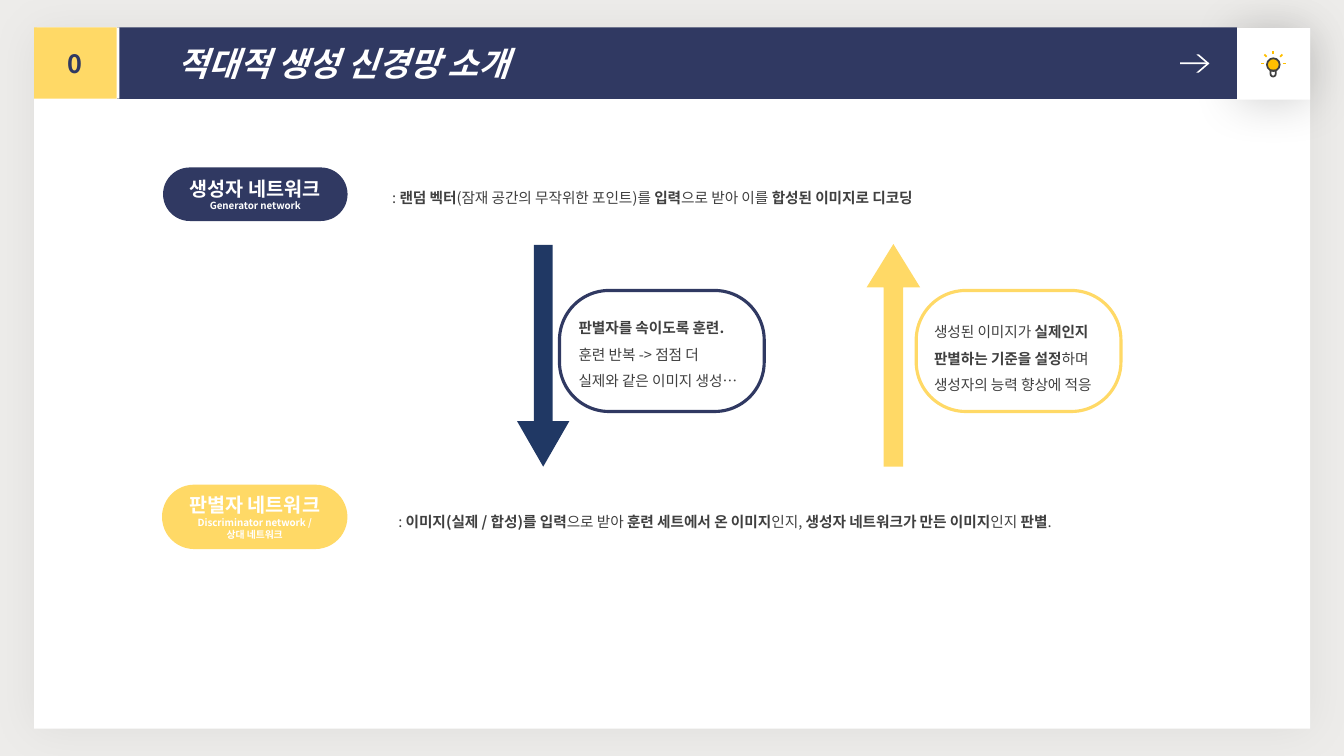
from dataclasses import dataclass
from math import cos, radians, sin
from typing import NamedTuple, Optional

from lxml.etree import SubElement
from pptx import Presentation
from pptx.dml.color import RGBColor
from pptx.enum.shapes import MSO_CONNECTOR, MSO_SHAPE
from pptx.enum.text import MSO_ANCHOR, MSO_AUTO_SIZE, PP_ALIGN
from pptx.oxml.ns import qn
from pptx.util import Cm, Pt


@dataclass(frozen=True)
class Theme:
    font: str = "Noto Sans CJK KR"
    back: str = "EDECEA"
    white: str = "FFFFFF"
    black: str = "000000"
    navy: str = "303962"
    deep: str = "203864"
    gold: str = "FFD966"
    amber: str = "FFC000"
    gray: str = "404040"
    title: float = 24
    number: float = 18
    label: float = 14
    body: float = 10.5
    small: float = 7


T = Theme()


class Run(NamedTuple):
    text: str
    bold: bool = False
    size: float = T.body
    color: str = T.gray
    slant: bool = False


class Shade(NamedTuple):
    color: str
    alpha: int
    blur: float
    angle: int


class Line(NamedTuple):
    color: str
    width: float


Box = tuple[float, float, float, float]
Para = tuple[Run, ...]


@dataclass(frozen=True)
class Block:
    kind: MSO_SHAPE
    box: Box
    fill: Optional[str] = None
    line: Optional[Line] = None
    adj: tuple[float, ...] = ()
    shade: Optional[Shade] = None
    text: tuple[Para, ...] = ()


@dataclass(frozen=True)
class Note:
    box: Box
    text: tuple[Para, ...]
    align: PP_ALIGN = PP_ALIGN.LEFT


def write(frame, text: tuple[Para, ...], align: PP_ALIGN, space: float = 1) -> None:
    frame.word_wrap = True
    for i, runs in enumerate(text):
        para = frame.add_paragraph() if i else frame.paragraphs[0]
        para.alignment = align
        para.line_spacing = space
        for item in runs:
            run = para.add_run()
            run.text = item.text
            font = run.font
            font.name, font.size = T.font, Pt(item.size)
            font.bold, font.italic = item.bold, item.slant
            font.color.rgb = RGBColor.from_string(item.color)
            SubElement(run.font._element, qn("a:ea"), typeface=T.font)


def paint(shape, fill: Optional[str], line: Optional[Line] = None) -> None:
    if fill:
        shape.fill.solid()
        shape.fill.fore_color.rgb = RGBColor.from_string(fill)
    else:
        shape.fill.background()
    if line:
        shape.line.color.rgb = RGBColor.from_string(line.color)
        shape.line.width = Pt(line.width)
    else:
        shape.line.fill.background()


def cast(shape, shade: Shade) -> None:
    """Give the shape an outer shadow."""
    effects = shape.element.spPr.find(qn("a:effectLst"))
    outer = SubElement(effects, qn("a:outerShdw"), blurRad=str(Pt(shade.blur)),
                       dist=str(Pt(2)), dir=str(shade.angle * 60000),
                       algn="ctr", rotWithShape="0")
    color = SubElement(outer, qn("a:srgbClr"), val=shade.color)
    SubElement(color, qn("a:alpha"), val=str(shade.alpha * 1000))


def draw(slide, block: Block) -> None:
    shape = slide.shapes.add_shape(block.kind, *map(Cm, block.box))
    shape.shadow.inherit = False
    paint(shape, block.fill, block.line)
    for i, value in enumerate(block.adj):
        shape.adjustments[i] = value
    if block.shade:
        cast(shape, block.shade)
    if block.text:
        shape.text_frame.vertical_anchor = MSO_ANCHOR.MIDDLE
        write(shape.text_frame, block.text, PP_ALIGN.CENTER)


def jot(slide, note: Note) -> None:
    """Add a free text box."""
    frame = slide.shapes.add_textbox(*map(Cm, note.box)).text_frame
    frame.auto_size = MSO_AUTO_SIZE.SHAPE_TO_FIT_TEXT
    write(frame, note.text, note.align, 1.5)


def head(slide) -> None:
    """Place the title bar above the shapes drawn so far."""
    title = slide.shapes.title
    title.left, title.top, title.width, title.height = map(Cm, (2.95, 0.69, 28.22, 1.8))
    paint(title, T.navy)
    frame = title.text_frame
    frame.auto_size = MSO_AUTO_SIZE.NONE
    frame.vertical_anchor = MSO_ANCHOR.MIDDLE
    frame.margin_left = Cm(1.52)
    write(frame, ((Run("적대적 생성 신경망 소개", True, T.title, T.white, True),),), PP_ALIGN.LEFT)
    slide.shapes.element.append(title.element)


def shine(slide, x: float, y: float) -> None:
    """Draw five rays around the bulb centre."""
    for angle in range(0, 181, 45):
        dx, dy = cos(radians(angle)), -sin(radians(angle))
        ends = [Cm(v) for r in (0.24, 0.32) for v in (x + r * dx, y + r * dy)]
        ray = slide.shapes.add_connector(MSO_CONNECTOR.STRAIGHT, *ends)
        ray.line.color.rgb = RGBColor.from_string(T.amber)
        ray.line.width = Pt(1.25)
        SubElement(ray.element.spPr, qn("a:effectLst"))


def label(name: str, *subs: str) -> tuple[Para, ...]:
    return ((Run(name, True, T.label, T.white),),
            *((Run(sub, True, T.small, T.white),) for sub in subs))


S = MSO_SHAPE
EDGE = Line(T.gray, 1.25)
CARDS = (
    Block(S.RECTANGLE, (0.86, 0.71, 32.16, 17.65), T.white, shade=Shade(T.black, 5, 34, 90)),
    Block(S.RECTANGLE, (31.17, 0.71, 1.85, 1.8), T.white, shade=Shade(T.black, 18, 34, 90)),
)
ICONS = (
    Block(S.OVAL, (31.93, 1.47, 0.32, 0.32), T.amber, EDGE),
    Block(S.ROUND_2_SAME_RECTANGLE, (32.02, 1.78, 0.13, 0.15), None, EDGE, (0, 0.5)),
    Block(S.RECTANGLE, (0.86, 0.69, 2.08, 1.8), T.gold, shade=Shade(T.white, 100, 0, 0),
          text=((Run("0", True, T.number, T.navy),),)),
    Block(S.CHEVRON, (30.15, 1.37, 0.33, 0.46), T.white, adj=(0.81,)),
    Block(S.RECTANGLE, (29.74, 1.57, 0.71, 0.05), T.white),
)
FLOW = (
    Block(S.ROUNDED_RECTANGLE, (4.11, 4.22, 4.65, 1.35), T.navy, adj=(0.5,),
          text=label("생성자 네트워크", "Generator network")),
    Block(S.ROUNDED_RECTANGLE, (4.11, 12.24, 4.62, 1.57), T.gold, Line(T.gold, 1.5), (0.5,),
          text=label("판별자 네트워크", "Discriminator network /", "상대 네트워크")),
    Block(S.DOWN_ARROW, (13.03, 6.17, 1.32, 5.59), T.deep, adj=(0.36, 0.87)),
    Block(S.UP_ARROW, (21.84, 6.15, 1.35, 5.61), T.gold, adj=(0.36, 0.81)),
    Block(S.ROUNDED_RECTANGLE, (14.1, 7.32, 5.16, 3.05), None, Line(T.navy, 2.25), (0.41,)),
    Block(S.ROUNDED_RECTANGLE, (23.09, 7.32, 5.16, 3.05), None, Line(T.gold, 2.25), (0.41,)),
)
NOTES = (
    Note((8.76, 4.42, 15.37, 0.94), (
        (Run(": "), Run("랜덤 벡터", True), Run("(잠재 공간의 무작위한 포인트)를 "), Run("입력", True),
         Run("으로 받아 이를 "), Run("합성된 이미지로 디코딩", True)),), PP_ALIGN.CENTER),
    Note((8.76, 12.57, 19.02, 0.94), (
        (Run(": "), Run("이미지(실제 / 합성)를 입력", True), Run("으로 받아 "),
         Run("훈련 세트에서 온 이미지", True), Run("인지, "),
         Run("생성자 네트워크가 만든 이미지", True), Run("인지 "), Run("판별", True), Run(".")),),
         PP_ALIGN.CENTER),
    Note((14.33, 7.7, 5.03, 2.29), (
        (Run("판별자를 속이도록 훈련.", True),),
        (Run("훈련 반복 -> 점점 더"),),
        (Run("실제와 같은 이미지 생성…"),))),
    Note((23.29, 7.8, 5.03, 2.29), (
        (Run("생성된 이미지가 "), Run("실제인지", True)),
        (Run("판별하는 기준을 설정", True), Run("하며")),
        (Run("생성자의 능력 향상에 적응"),))),
)


def main() -> None:
    deck = Presentation()
    deck.slide_width, deck.slide_height = Cm(33.87), Cm(19.05)
    slide = deck.slides.add_slide(deck.slide_layouts[5])
    slide.background.fill.solid()
    slide.background.fill.fore_color.rgb = RGBColor.from_string(T.back)
    for card in CARDS:
        draw(slide, card)
    head(slide)
    shine(slide, 32.09, 1.6)
    for block in ICONS + FLOW:
        draw(slide, block)
    for note in NOTES:
        jot(slide, note)
    deck.save("out.pptx")


if __name__ == "__main__":
    main()
